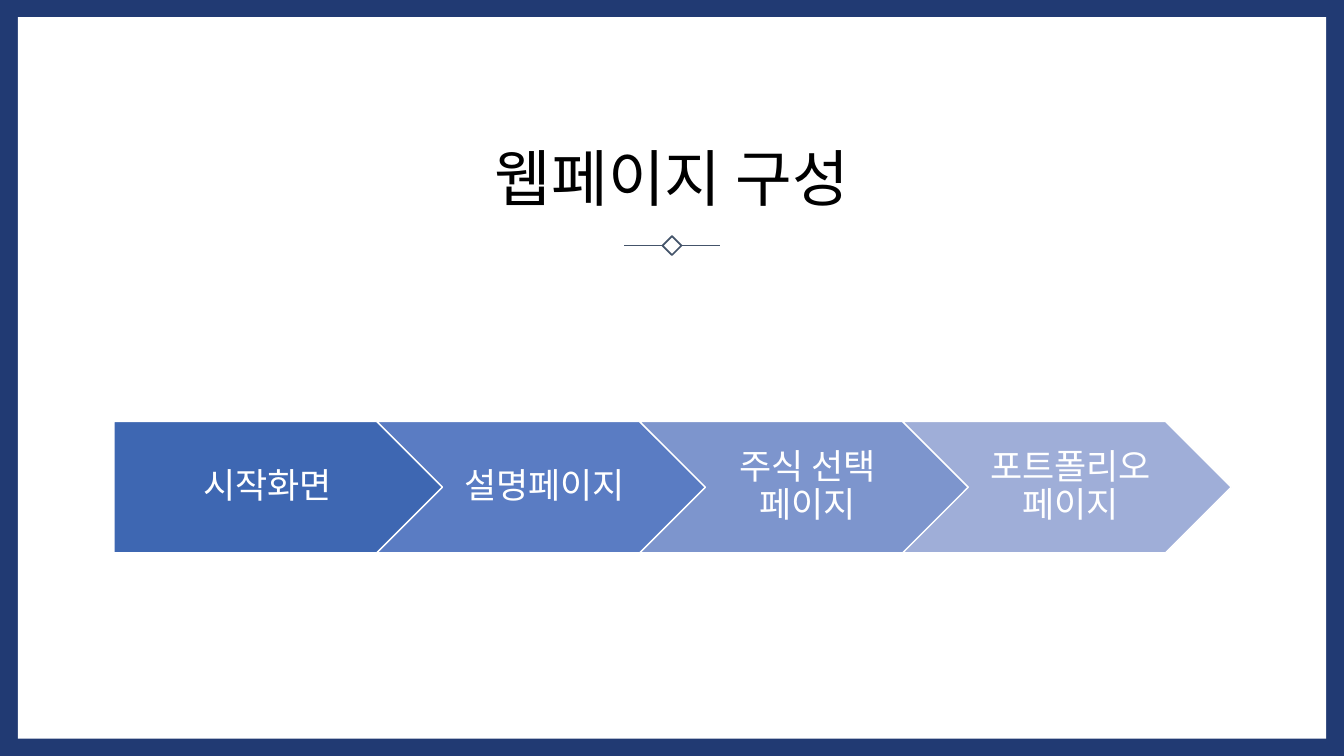
from lxml.etree import SubElement
from pptx import Presentation
from pptx.dml.color import RGBColor
from pptx.enum.shapes import MSO_CONNECTOR, MSO_SHAPE
from pptx.enum.text import MSO_ANCHOR, PP_ALIGN
from pptx.oxml.ns import qn
from pptx.util import Pt

NAVY = RGBColor(0x21, 0x3A, 0x73)
WHITE = RGBColor(0xFF, 0xFF, 0xFF)
BLACK = RGBColor(0x00, 0x00, 0x00)
SLATE = RGBColor(0x44, 0x54, 0x6A)
STEP_BLUES = (
    RGBColor(0x3E, 0x67, 0xB2),
    RGBColor(0x5A, 0x7C, 0xC3),
    RGBColor(0x7D, 0x95, 0xCD),
    RGBColor(0x9F, 0xAE, 0xD8),
)


class SlideBuilder:
    """Holds the shared style and draws on one slide; lengths are in points."""

    font_name = "Calibri"
    line_spacing = 0.9

    def __init__(self, slide):
        self.slide = slide

    def shape(self, kind, box, fill=None, line=None, width=1):
        shape = self.slide.shapes.add_shape(kind, *map(Pt, box))
        shape.shadow.inherit = False
        if fill is None:
            shape.fill.background()
        else:
            shape.fill.solid()
            shape.fill.fore_color.rgb = fill
        if line is None:
            shape.line.fill.background()
        else:
            shape.line.color.rgb = line
            shape.line.width = Pt(width)
        return shape

    def line(self, x1, x2, y, color, width):
        line = self.slide.shapes.add_connector(
            MSO_CONNECTOR.STRAIGHT, Pt(x1), Pt(y), Pt(x2), Pt(y))
        line.line.color.rgb = color
        line.line.width = Pt(width)
        SubElement(line._element.spPr, qn("a:effectLst"))

    def label(self, shape, text, size, color, anchor, insets):
        left, top, right, bottom = map(Pt, insets)
        frame_format = {
            "word_wrap": True, "vertical_anchor": anchor,
            "margin_left": left, "margin_top": top,
            "margin_right": right, "margin_bottom": bottom,
        }
        for name, value in frame_format.items():
            setattr(shape.text_frame, name, value)
        paragraph = shape.text_frame.paragraphs[0]
        paragraph.alignment = PP_ALIGN.CENTER
        paragraph.line_spacing = self.line_spacing
        run = paragraph.add_run()
        run.text = text
        for name, value in {"name": self.font_name, "size": Pt(size)}.items():
            setattr(run.font, name, value)
        run.font.color.rgb = color

    def text(self, box, text, size, color, anchor, insets):
        text_box = self.slide.shapes.add_textbox(*map(Pt, box))
        self.label(text_box, text, size, color, anchor, insets)


def main():
    deck = Presentation()
    deck.slide_width, deck.slide_height = Pt(960), Pt(540)
    builder = SlideBuilder(deck.slides.add_slide(deck.slide_layouts[6]))

    # Navy frame around a white page
    builder.shape(MSO_SHAPE.RECTANGLE, (0, 0, 960, 540), NAVY)
    builder.shape(MSO_SHAPE.RECTANGLE, (12.7, 12.3, 934.6, 515.4), WHITE)

    # Title
    builder.text((81.3, 75.6, 797.4, 81.3), "웹페이지 구성", 44, BLACK,
                 MSO_ANCHOR.BOTTOM, (7.2, 3.6, 7.2, 3.6))

    # Divider: a diamond between two short rules
    center_x, center_y, side = 480, 175.4, 9.6
    diamond = builder.shape(
        MSO_SHAPE.RECTANGLE,
        (center_x - side / 2, center_y - side / 2, side, side),
        line=SLATE, width=1.25)
    diamond.rotation = 45
    for direction in (-1, 1):
        builder.line(center_x + direction * 6.6, center_x + direction * 34.2,
                     center_y, SLATE, 1.25)

    # Page flow: one pentagon followed by chevrons
    pages = ("시작화면", "설명페이지", "주식 선택 페이지", "포트폴리오 페이지")
    first_left, pitch = 81.4, 187.8
    for index, (page, blue) in enumerate(zip(pages, STEP_BLUES)):
        kind, inset_left = ((MSO_SHAPE.CHEVRON, 8) if index
                            else (MSO_SHAPE.PENTAGON, 10.7))
        step = builder.shape(
            kind, (first_left + index * pitch, 301.1, 234.7, 93.8), blue, WHITE)
        builder.label(step, page, 25, WHITE, MSO_ANCHOR.MIDDLE,
                      (inset_left, 5.3, 2.7, 5.3))

    deck.save("out.pptx")


if __name__ == "__main__":
    main()
